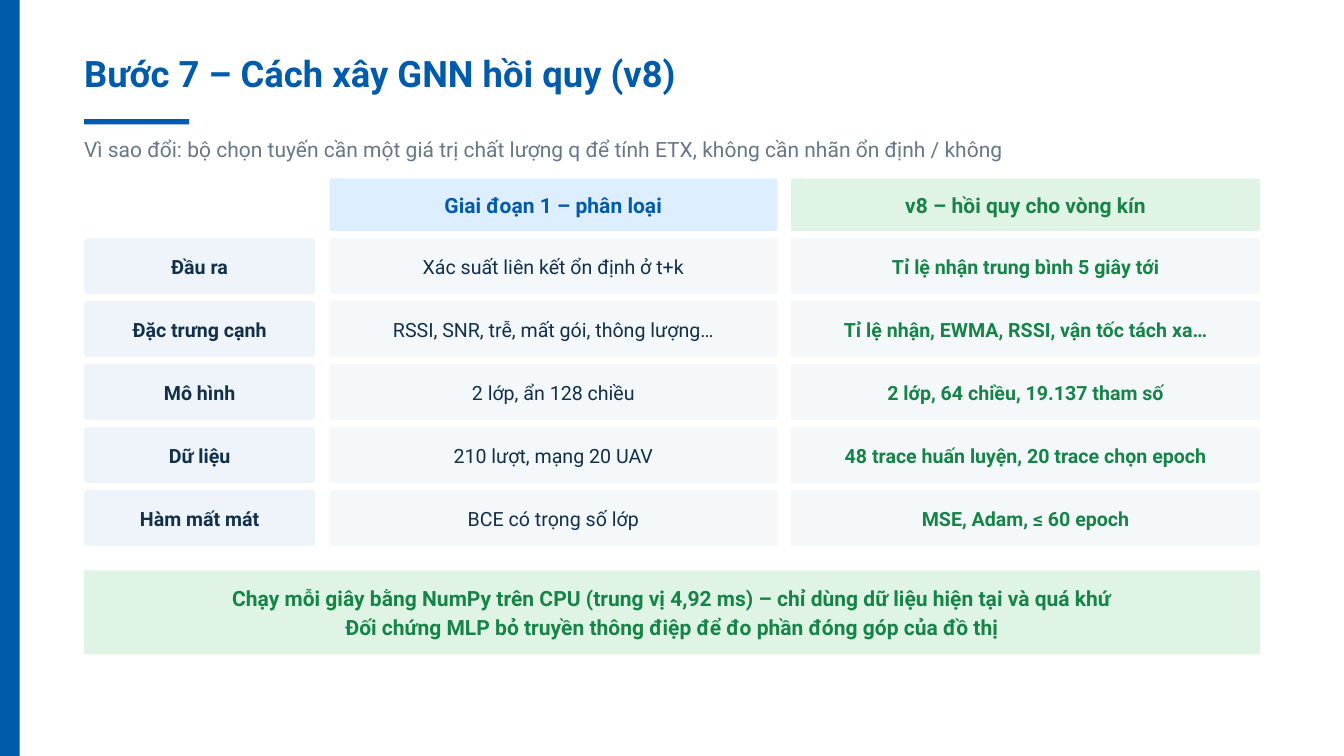
from pptx import Presentation
from pptx.dml.color import RGBColor
from pptx.enum.shapes import MSO_SHAPE
from pptx.enum.text import MSO_ANCHOR, PP_ALIGN
from pptx.util import Cm, Pt

RECTANGLE = MSO_SHAPE.RECTANGLE
ROUNDED = MSO_SHAPE.ROUNDED_RECTANGLE
TOP, MIDDLE = MSO_ANCHOR.TOP, MSO_ANCHOR.MIDDLE
LEFT, CENTER = PP_ALIGN.LEFT, PP_ALIGN.CENTER

BLUE = RGBColor(0x00, 0x5B, 0xAA)
GREEN = RGBColor(0x17, 0x84, 0x47)
NAVY = RGBColor(0x12, 0x30, 0x4A)
GREY = RGBColor(0x66, 0x77, 0x88)
PALE_BLUE = RGBColor(0xDC, 0xEE, 0xFF)
PALE_GREEN = RGBColor(0xDF, 0xF4, 0xE5)
LABEL_FILL = RGBColor(0xEE, 0xF4, 0xFA)
CELL_FILL = RGBColor(0xF4, 0xF8, 0xFB)

FONT = "Roboto"
MARGIN, CONTENT_WIDTH = 3.18, 44.45
HEADER_TOP, HEADER_HEIGHT = 6.75, 1.98
ROWS_TOP, ROW_HEIGHT, ROW_STEP = 9.0, 2.12, 2.38

# left, width, corner radius, text colour, bold
COLUMNS = [
    (MARGIN, 8.73, 0.13, NAVY, True),
    (12.45, 16.93, 0.06, NAVY, False),
    (29.9, 17.73, 0.06, GREEN, True),
]
HEADERS = [
    ("Giai đoạn 1 – phân loại", PALE_BLUE, BLUE),
    ("v8 – hồi quy cho vòng kín", PALE_GREEN, GREEN),
]
ROWS = [
    ("Đầu ra", "Xác suất liên kết ổn định ở t+k", "Tỉ lệ nhận trung bình 5 giây tới"),
    ("Đặc trưng cạnh", "RSSI, SNR, trễ, mất gói, thông lượng…",
     "Tỉ lệ nhận, EWMA, RSSI, vận tốc tách xa…"),
    ("Mô hình", "2 lớp, ẩn 128 chiều", "2 lớp, 64 chiều, 19.137 tham số"),
    ("Dữ liệu", "210 lượt, mạng 20 UAV", "48 trace huấn luyện, 20 trace chọn epoch"),
    ("Hàm mất mát", "BCE có trọng số lớp", "MSE, Adam, ≤ 60 epoch"),
]
CONCLUSIONS = [
    "Chạy mỗi giây bằng NumPy trên CPU (trung vị 4,92 ms) – chỉ dùng dữ liệu hiện tại và quá khứ",
    "Đối chứng MLP bỏ truyền thông điệp để đo phần đóng góp của đồ thị",
]


def write(frame, lines, size, spacing, color, bold, align, anchor):
    frame.word_wrap = True
    frame.vertical_anchor = anchor
    for index, line in enumerate(lines):
        para = frame.paragraphs[0] if index == 0 else frame.add_paragraph()
        para.text = line
        para.alignment = align
        para.line_spacing = Pt(spacing)
        para.font.name = FONT
        para.font.size = Pt(size)
        para.font.bold = bold
        para.font.color.rgb = color


def set_insets(frame, side, top, bottom):
    frame.margin_left = frame.margin_right = Cm(side)
    frame.margin_top, frame.margin_bottom = Cm(top), Cm(bottom)


def add_block(slide, left, top, width, height, fill, radius=0):
    """Add a plain filled rectangle, rounded when a radius is given."""
    kind = ROUNDED if radius else RECTANGLE
    block = slide.shapes.add_shape(kind, Cm(left), Cm(top), Cm(width), Cm(height))
    if radius:
        block.adjustments[0] = radius / min(width, height)
    block.shadow.inherit = False
    block.fill.solid()
    block.fill.fore_color.rgb = fill
    block.line.fill.background()
    return block


def add_card(slide, left, top, width, height, fill, radius, lines, size, spacing, color, bold):
    """Add a rounded block whose centred text sits slightly above the middle."""
    card = add_block(slide, left, top, width, height, fill, radius)
    set_insets(card.text_frame, side=0.15, top=0.05, bottom=0.15)
    write(card.text_frame, lines, size, spacing, color, bold, CENTER, MIDDLE)


def add_heading(slide, top, width, height, text, size, spacing, color, bold):
    box = slide.shapes.add_textbox(Cm(MARGIN), Cm(top), Cm(width), Cm(height))
    set_insets(box.text_frame, 0, 0, 0)
    write(box.text_frame, [text], size, spacing, color, bold, LEFT, TOP)


def add_comparison(slide):
    for (left, width, radius, _, _), (text, fill, color) in zip(COLUMNS[1:], HEADERS):
        add_card(slide, left, HEADER_TOP, width, HEADER_HEIGHT, fill, radius,
                 [text], 22.5, 31.5, color, True)
    for index, row in enumerate(ROWS):
        top = ROWS_TOP + index * ROW_STEP
        for column, text in enumerate(row):
            left, width, radius, color, bold = COLUMNS[column]
            fill = LABEL_FILL if column == 0 else CELL_FILL
            add_card(slide, left, top, width, ROW_HEIGHT, fill, radius,
                     [text], 21, 29.4, color, bold)


def main():
    deck = Presentation()
    deck.slide_width, deck.slide_height = Cm(50.8), Cm(28.58)
    page = deck.slides.add_slide(deck.slide_layouts[6])

    add_block(page, 0, 0, 0.74, 28.58, BLUE)
    add_block(page, MARGIN, 4.5, 3.97, 0.2, BLUE)
    add_heading(page, 1.65, 37.03, 1.91, "Bước 7 – Cách xây GNN hồi quy (v8)",
                39, 54.6, BLUE, True)
    add_heading(page, 5.0, CONTENT_WIDTH, 1.12,
                "Vì sao đổi: bộ chọn tuyến cần một giá trị chất lượng q để tính ETX, "
                "không cần nhãn ổn định / không", 22.5, 31.5, GREY, False)
    add_comparison(page)
    add_card(page, MARGIN, 21.56, CONTENT_WIDTH, 3.18, PALE_GREEN, 0.03,
             CONCLUSIONS, 22.5, 30.4, GREEN, True)
    deck.save("out.pptx")


if __name__ == "__main__":
    main()
